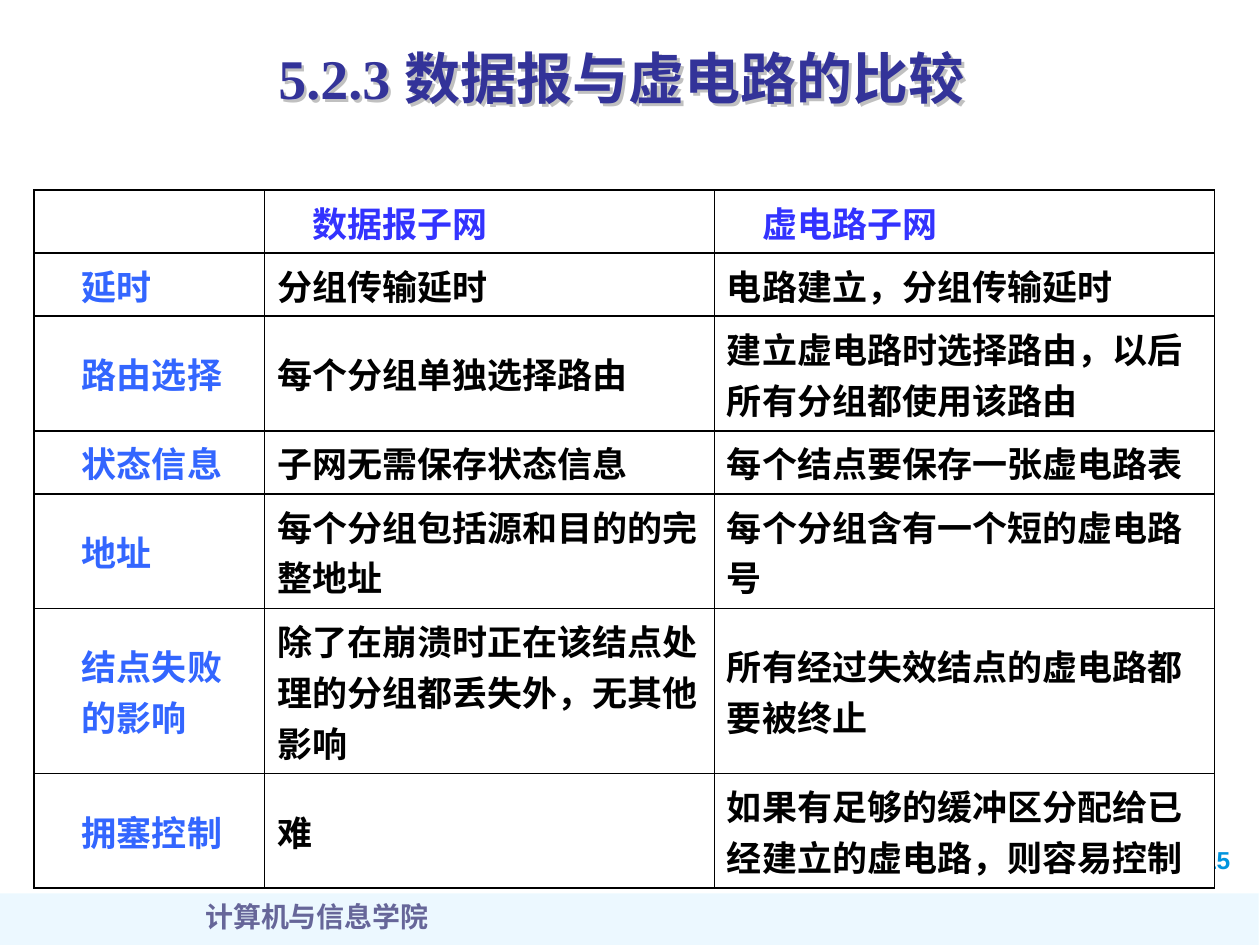
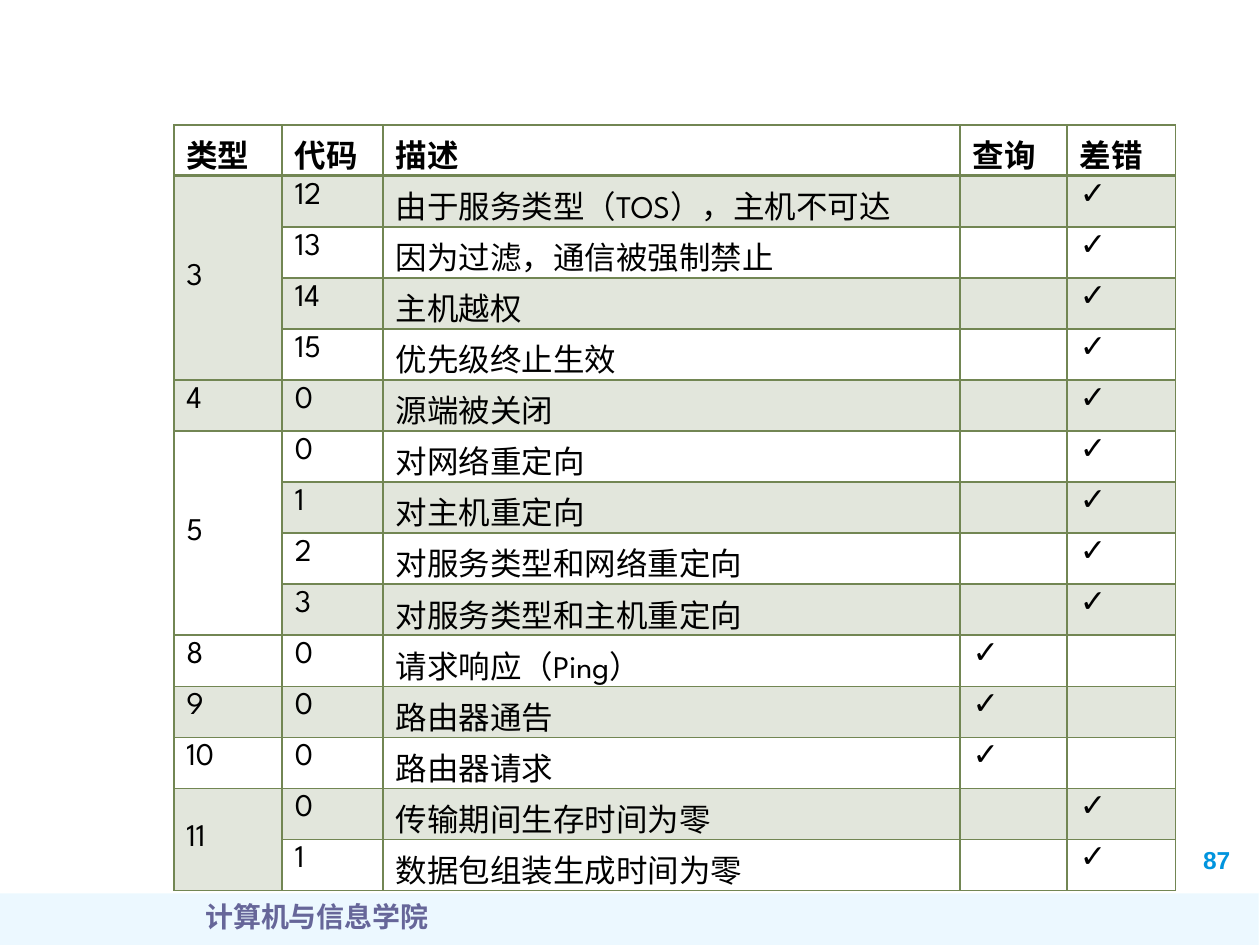
import pptx
import pptx.dml.color
import pptx.enum.shapes
import pptx.enum.text
import pptx.oxml.ns
import pptx.util
from lxml import etree

RGB = pptx.dml.color.RGBColor
ALIGN = pptx.enum.text.PP_ALIGN
ANCHOR = pptx.enum.text.MSO_ANCHOR
Inches, Pt, qn = pptx.util.Inches, pptx.util.Pt, pptx.oxml.ns.qn

# Content
FOOTER = "计算机与信息学院"
TITLE = "5.2.3 数据报与虚电路的比较"
COMPARISON = [
    ("", "数据报子网", "虚电路子网"),
    ("延时", "分组传输延时", "电路建立，分组传输延时"),
    ("路由选择", "每个分组单独选择路由", "建立虚电路时选择路由，以后所有分组都使用该路由"),
    ("状态信息", "子网无需保存状态信息", "每个结点要保存一张虚电路表"),
    ("地址", "每个分组包括源和目的的完整地址", "每个分组含有一个短的虚电路号"),
    ("结点失败\v的影响", "除了在崩溃时正在该结点处理的分组都丢失外，无其他影响",
     "所有经过失效结点的虚电路都要被终止"),
    ("拥塞控制", "难", "如果有足够的缓冲区分配给已经建立的虚电路，则容易控制"),
]
ICMP_HEAD = ("类型", "代码", "描述", "查询", "差错")
QUERY, ERROR = ("✓", ""), ("", "✓")
ICMP_TYPES = [  # type, marks, (code, description) rows
    ("3", ERROR, [("12", "由于服务类型（TOS），主机不可达"), ("13", "因为过滤，通信被强制禁止"),
                  ("14", "主机越权"), ("15", "优先级终止生效")]),
    ("4", ERROR, [("0", "源端被关闭")]),
    ("5", ERROR, [("0", "对网络重定向"), ("1", "对主机重定向"),
                  ("2", "对服务类型和网络重定向"), ("3", "对服务类型和主机重定向")]),
    ("8", QUERY, [("0", "请求响应（Ping）")]),
    ("9", QUERY, [("0", "路由器通告")]),
    ("10", QUERY, [("0", "路由器请求")]),
    ("11", ERROR, [("0", "传输期间生存时间为零"), ("1", "数据包组装生成时间为零")]),
]

# Shared look
WIDTH, HEIGHT = 10, 7.5
FOOTER_TOP = 7.09
BLACK, WHITE = RGB(0, 0, 0), RGB(255, 255, 255)
NAVY, HEAD_BLUE, LABEL_BLUE = RGB(0x33, 0x33, 0x99), RGB(0x33, 0x33, 0xFF), RGB(0x33, 0x66, 0xFF)
SKY, PAGE_BLUE, SLATE = RGB(0xA7, 0xE2, 0xFF), RGB(0, 0x94, 0xDE), RGB(0x66, 0x66, 0x99)
OLIVE, SHADOW = RGB(0x72, 0x86, 0x53), RGB(0xC0, 0xC0, 0xC0)
SERIF, SANS, BODY, ICMP_FONT = "Times New Roman", "Arial", "Roboto", "League Spartan"


def paint(fill, color, percent=100):
    fill.solid()
    fill.fore_color.rgb = color
    if percent < 100:
        # The colour element sits inside the solid fill of the given object
        clr = fill._xPr.find(qn("a:solidFill"))[0]
        etree.SubElement(clr, qn("a:alpha"), val=str(percent * 1000))


def write(tf, text, font, size, color, bold=True, align=None):
    tf.text = text
    for p in tf.paragraphs:
        if align is not None:
            p.alignment = align
        for r in p.runs:
            r.font.name, r.font.size, r.font.bold = font, Pt(size), bold
            r.font.color.rgb = color


def add_text(s, box, *style, **options):
    sp = s.shapes.add_textbox(*map(Inches, box))
    sp.text_frame.word_wrap = True
    write(sp.text_frame, *style, **options)
    return sp


def add_slide(prs, number):
    s = prs.slides.add_slide(prs.slide_layouts[6])
    paint(s.background.fill, WHITE)
    band = s.shapes.add_shape(pptx.enum.shapes.MSO_SHAPE.RECTANGLE, Inches(-0.01),
                              Inches(FOOTER_TOP), Inches(WIDTH), Inches(0.44))
    band.shadow.inherit = False
    band.line.fill.background()
    paint(band.fill, SKY, 21)
    add_text(s, (9.45, 6.66, 0.59, 0.33), number, SANS, 14, PAGE_BLUE)
    add_text(s, (0.27, FOOTER_TOP, 4.49, 0.5), FOOTER, SERIF, 16, SLATE, align=ALIGN.CENTER)
    return s


def add_title(s, text):
    sp = add_text(s, (1.06, 0.24, 7.75, 0.75), text, SERIF, 32, NAVY, align=ALIGN.CENTER)
    sp.text_frame.vertical_anchor = ANCHOR.MIDDLE
    # An unfilled box passes its shadow on to the text
    effects = etree.SubElement(sp._element.spPr, qn("a:effectLst"))
    shadow = etree.SubElement(effects, qn("a:outerShdw"), dist=str(Pt(2)), dir="2700000")
    etree.SubElement(shadow, qn("a:srgbClr"), val=str(SHADOW))


def add_table(s, left, top, cols, rows):
    table = s.shapes.add_table(len(rows), len(cols), Inches(left), Inches(top),
                               Inches(sum(cols)), Inches(sum(rows))).table
    table.first_row = table.horz_banding = False
    for col, width in zip(table.columns, cols):
        col.width = Inches(width)
    for row, height in zip(table.rows, rows):
        row.height = Inches(height)
    return table


def set_borders(cell, color, top=1, bottom=1):
    tcPr = cell._tc.get_or_add_tcPr()
    for side, width in (("L", 1), ("R", 1), ("T", top), ("B", bottom)):
        ln = etree.SubElement(tcPr, qn("a:ln" + side), w=str(Pt(width)))
        fill = etree.SubElement(ln, qn("a:solidFill"))
        etree.SubElement(fill, qn("a:srgbClr"), val=str(color))


def comparison_slide(prs):
    s = add_slide(prs, "15")
    add_title(s, TITLE)
    table = add_table(s, 0.27, 1.51, (1.83, 3.57, 3.97),
                      (0.5, 0.5, 0.91, 0.5, 0.91, 1.31, 0.91))
    for i, row in enumerate(COMPARISON):
        for j, text in enumerate(row):
            cell = table.cell(i, j)
            set_borders(cell, BLACK)
            paint(cell.fill, WHITE)
            cell.vertical_anchor = ANCHOR.MIDDLE
            if i == 0 or j == 0:  # headings are set in by one character
                cell.margin_left = Inches(0.38)
            color = HEAD_BLUE if i == 0 else LABEL_BLUE if j == 0 else BLACK
            write(cell.text_frame, text, BODY, 20, color)


def icmp_slide(prs):
    s = add_slide(prs, "87")
    rows, spans = [ICMP_HEAD], []
    for kind, marks, codes in ICMP_TYPES:
        if len(codes) > 1:
            spans.append((len(rows), len(rows) + len(codes) - 1))
        rows += [(kind if k == 0 else "", *code, *marks) for k, code in enumerate(codes)]
    table = add_table(s, 1.38, 0.99, (0.86, 0.8, 4.58, 0.85, 0.86),
                      [6.08 / len(rows)] * len(rows))
    for i, row in enumerate(rows):
        for j, text in enumerate(row):
            cell = table.cell(i, j)
            set_borders(cell, OLIVE, top=2 if i == 1 else 1, bottom=2 if i == 0 else 1)
            if i % 2:
                paint(cell.fill, OLIVE, 20)
            else:
                cell.fill.background()
            cell.margin_bottom = 0
            write(cell.text_frame, text, ICMP_FONT, 18, BLACK, bold=i == 0)
    for first, last in spans:
        table.cell(first, 0).merge(table.cell(last, 0))
        table.cell(first, 0).vertical_anchor = ANCHOR.MIDDLE
        table.cell(first, 0).margin_bottom = Inches(0.05)


def main():
    prs = pptx.Presentation()
    prs.slide_width, prs.slide_height = Inches(WIDTH), Inches(HEIGHT)
    comparison_slide(prs)
    icmp_slide(prs)
    prs.save("out.pptx")


if __name__ == "__main__":
    main()
